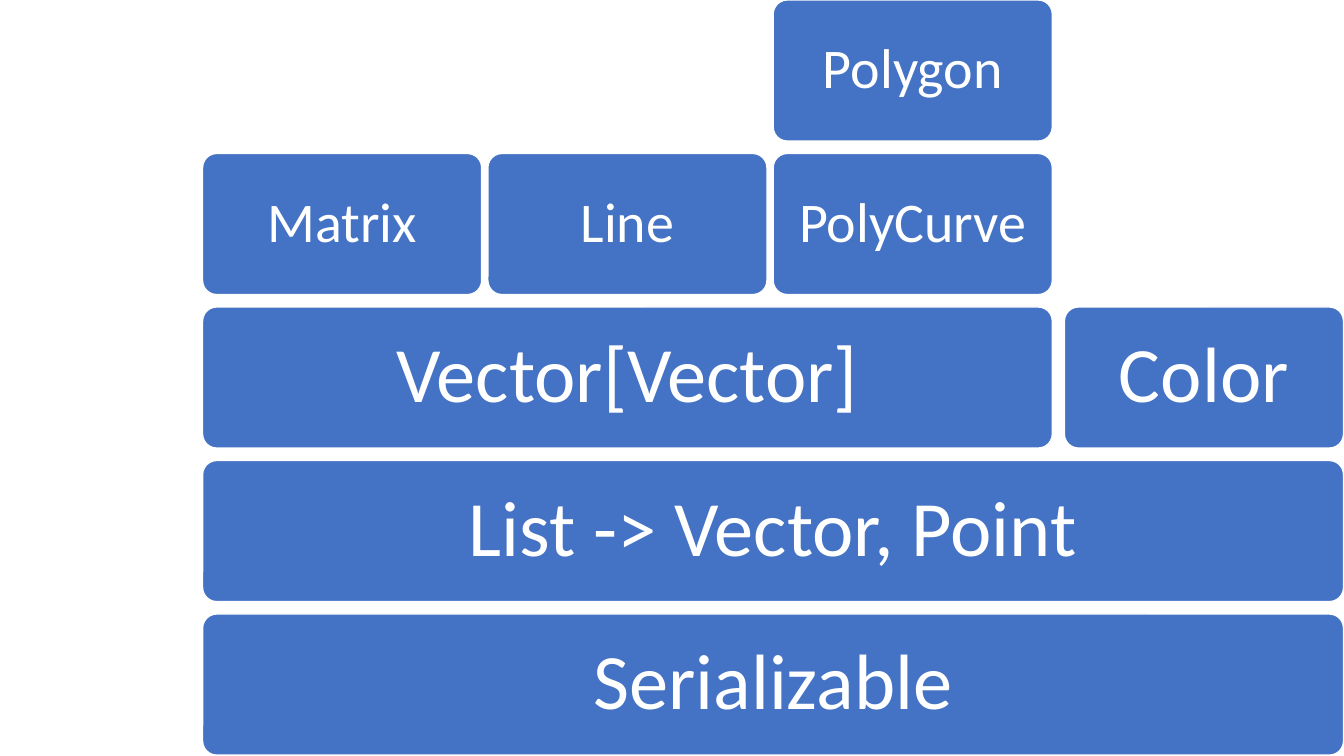
import pptx
import pptx.util
import pptx.dml.color
import pptx.enum.shapes
import pptx.enum.text

Pt = pptx.util.Pt
LEFT, WIDE, HIGH = 144.7, 199.4, 100.8
STEP, RISE = 203.8, 109.65
FULL, TRIO, SIDE = 815, 607, 760.3


def color(code):
    """Turn a hex string into a colour."""
    return pptx.dml.color.RGBColor.from_string(code)


def write(shape, text, size=56, font="Calibri", ink="FFFFFF", inset=19.5):
    """Set centred text in a shape."""
    frame = shape.text_frame
    frame.word_wrap = True
    frame.vertical_anchor = pptx.enum.text.MSO_ANCHOR.MIDDLE
    frame.margin_left = frame.margin_right = Pt(inset)
    frame.margin_top = frame.margin_bottom = Pt(inset)
    para = frame.paragraphs[0]
    para.alignment = pptx.enum.text.PP_ALIGN.CENTER
    para.line_spacing = 0.9
    run = para.add_run()
    run.text = text
    run.font.size = Pt(size)
    run.font.name = font
    run.font.color.rgb = color(ink)


def block(slide, text, left, row, width, **form):
    """Add one rounded block of the stack."""
    shape = slide.shapes.add_shape(
        pptx.enum.shapes.MSO_SHAPE.ROUNDED_RECTANGLE,
        Pt(left), Pt(row * RISE), Pt(width), Pt(HIGH))
    shape.adjustments[0] = 0.1
    shape.shadow.inherit = False
    shape.fill.solid()
    shape.fill.fore_color.rgb = color("4472C4")
    shape.line.color.rgb = color("FFFFFF")
    shape.line.width = Pt(1)
    write(shape, text, **form)


def main():
    """Build the class stack and save it."""
    deck = pptx.Presentation()
    deck.slide_width, deck.slide_height = Pt(960), Pt(540)
    slide = deck.slides.add_slide(deck.slide_layouts[6])
    block(slide, "Serializable", LEFT, 4, FULL)
    block(slide, "List -> Vector, Point", LEFT, 3, FULL)
    block(slide, "Vector[Vector]", LEFT, 2, TRIO)
    for text, col, row in (("Matrix", 0, 1), ("Line", 1, 1),
                           ("PolyCurve", 2, 1), ("Polygon", 2, 0)):
        block(slide, text, LEFT + col * STEP, row, WIDE, size=40, inset=15)
    block(slide, "Color", SIDE, 2, WIDE)
    deck.save("out.pptx")


if __name__ == "__main__":
    main()
